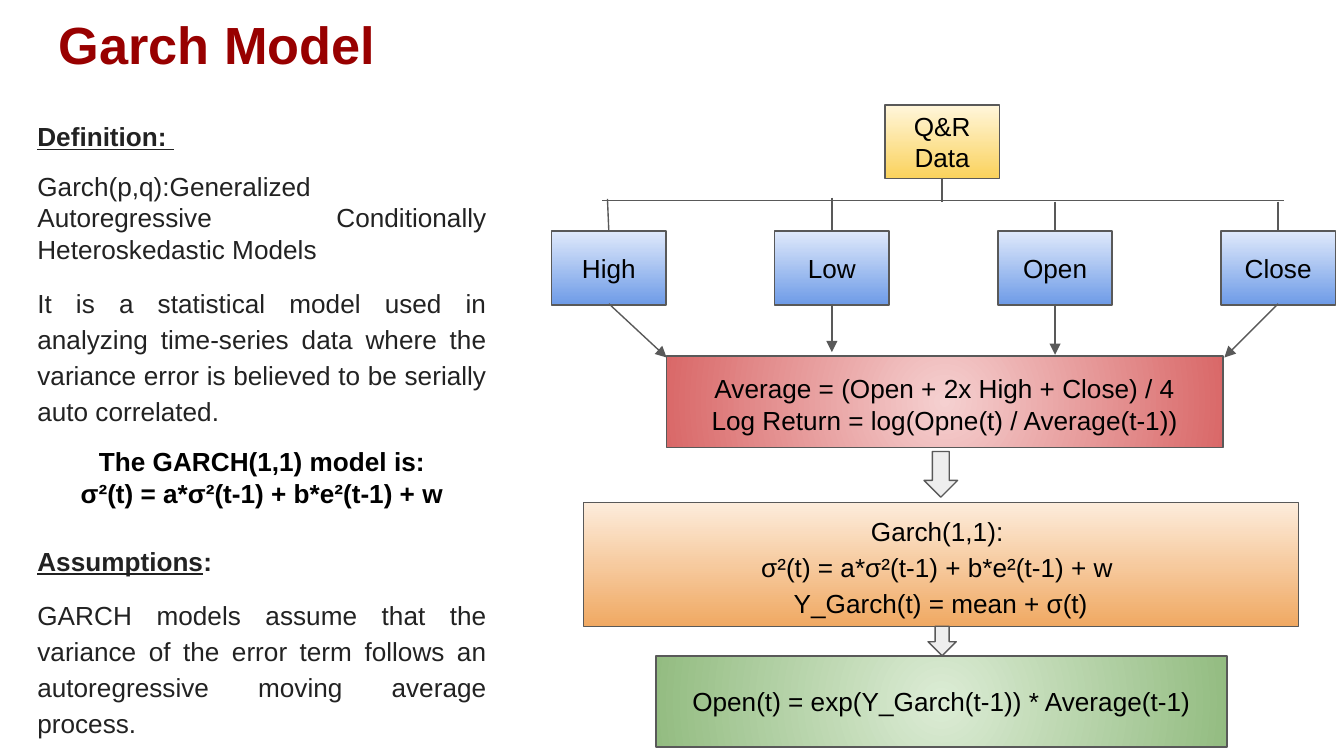
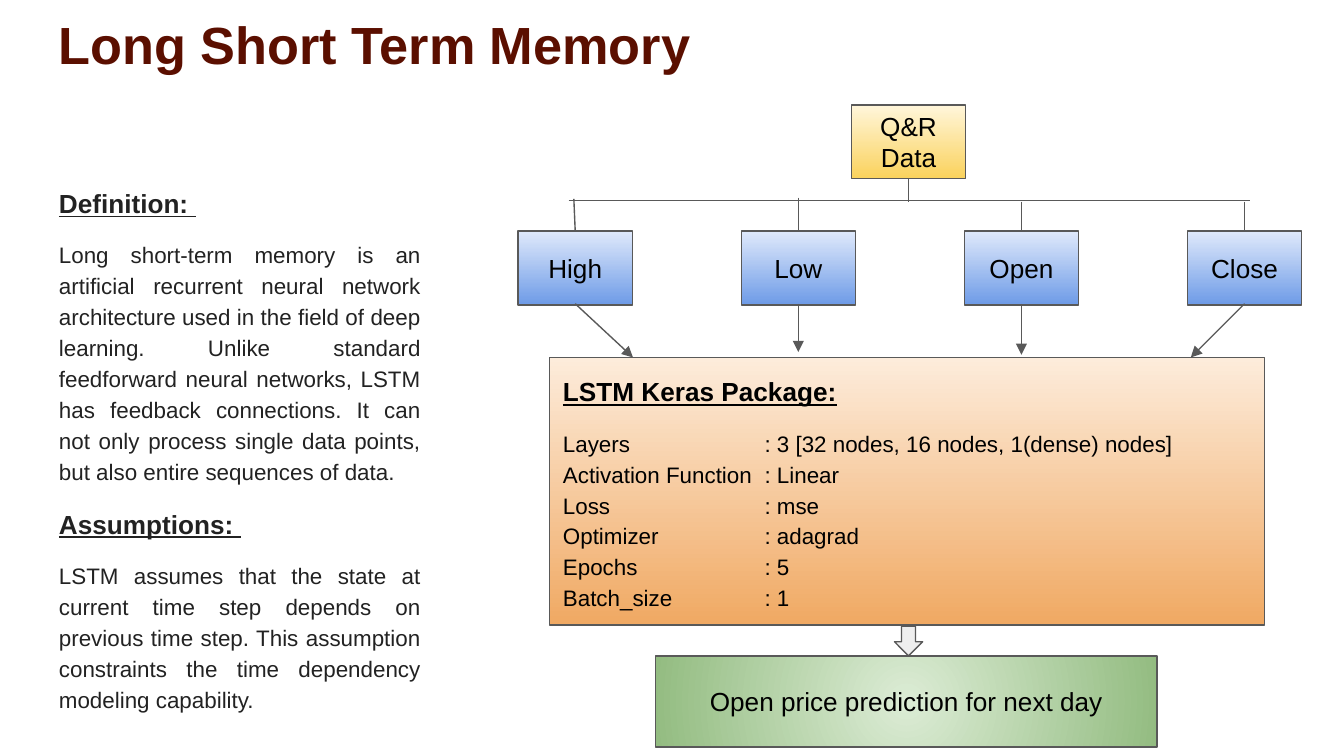
"""Build two slides that explain the GARCH and LSTM forecasting flows."""
from dataclasses import dataclass
from typing import Any

from lxml.etree import SubElement
from pptx import Presentation
from pptx.dml.color import RGBColor
from pptx.enum.shapes import MSO_CONNECTOR, MSO_SHAPE
from pptx.enum.text import MSO_ANCHOR, PP_ALIGN
from pptx.oxml.ns import qn
from pptx.util import Inches, Pt

COLORS = {
    "black": "000000",
    "body": "222222",
    "garch_title": "980000",
    "lstm_title": "5B0F00",
    "outline": "595959",
    "arrow": "EEEEEE",
}
GRADIENTS = {
    "blue": ("DFE9FB", "6E9BE7"),
    "yellow": ("FFF6DB", "FAD25C"),
    "red": ("F5D0D0", "D96868"),
    "orange": ("FDECDB", "F0A963"),
    "green": ("DCECD5", "93BC81"),
}
RADIAL = {"red", "green"}
SLIDE_WIDTH = 10
SLIDE_FORMAT = {
    "slide_width": Inches(SLIDE_WIDTH),
    "slide_height": Inches(SLIDE_WIDTH * 9 / 16),
}
FRAME_FORMAT = {
    "word_wrap": True,
    "margin_left": Inches(0.1),
    "margin_right": Inches(0.1),
    "margin_top": Inches(0.1),
    "margin_bottom": Inches(0.1),
}
SPACED = 1.15
NODE_WIDTH, NODE_HEIGHT = 0.85, 0.55
NODE_TOP, NODE_PITCH = 1.72, 1.66
NODE_BOTTOM = 2.26
BUS_TOP = 1.49


@dataclass(frozen=True)
class Line:
    """One paragraph, with an optional plain suffix after its main run."""
    text: str
    align: PP_ALIGN = PP_ALIGN.CENTER
    size: float = 14
    color: str = "black"
    bold: bool = False
    underline: bool = False
    spacing: float = 1.0
    before: float = 0
    suffix: str = ""
    tab: float = 0


@dataclass(frozen=True)
class Box:
    """A gradient rectangle with centred or listed text."""
    left: float
    top: float
    width: float
    height: float
    gradient: str
    lines: tuple[Line, ...]


@dataclass(frozen=True)
class Price:
    """A price node with its drop line above and its arrow below."""
    label: str
    drop_shift: float
    drop_top: float
    arrow_shift: float
    arrow_bottom: float


PRICES = (
    Price("High", -0.01, 1.48, 0.43, 2.66),
    Price("Low", 0, 1.47, 0, 2.62),
    Price("Open", 0, 1.5, 0, 2.64),
    Price("Close", 0, 1.5, -0.4, 2.66),
)


def apply_format(target: Any, values: dict[str, Any]) -> None:
    """Set every named attribute on the target."""
    for name, value in values.items():
        setattr(target, name, value)


def heading(text: str, before: float = 0, suffix: str = "") -> Line:
    """Describe an underlined section heading."""
    return Line(text, PP_ALIGN.LEFT, 14, "body", True, True, SPACED, before, suffix)


def prose(text: str, size: float = 14, spacing: float = SPACED) -> Line:
    """Describe a justified body paragraph."""
    return Line(text, PP_ALIGN.JUSTIFY, size, "body", spacing=spacing, before=10)


def write_lines(shape: Any, lines: tuple[Line, ...], anchor: MSO_ANCHOR) -> None:
    """Fill the text frame of a shape with paragraphs."""
    frame = shape.text_frame
    apply_format(frame, FRAME_FORMAT | {"vertical_anchor": anchor})
    for index, line in enumerate(lines):
        paragraph = frame.add_paragraph() if index else frame.paragraphs[0]
        apply_format(paragraph, {
            "alignment": line.align,
            "line_spacing": line.spacing,
            "space_before": Pt(line.before),
        })
        if line.tab:
            tabs = SubElement(paragraph._p.get_or_add_pPr(), qn("a:tabLst"))
            SubElement(tabs, qn("a:tab"), pos=str(Inches(line.tab)), algn="l")
        for text, underline in ((line.text, line.underline), (line.suffix, False)):
            if text:
                run = paragraph.add_run()
                run.text = text
                apply_format(run.font, {
                    "name": "Arial",
                    "size": Pt(line.size),
                    "bold": line.bold,
                    "underline": underline,
                })
                run.font.color.rgb = RGBColor.from_string(COLORS[line.color])


def add_text(slide: Any, left: float, top: float, width: float, height: float,
             lines: tuple[Line, ...]) -> None:
    """Add a text box anchored at the top."""
    shape = slide.shapes.add_textbox(Inches(left), Inches(top), Inches(width), Inches(height))
    write_lines(shape, lines, MSO_ANCHOR.TOP)


def set_outline(shape: Any) -> None:
    """Give a shape or connector the thin grey line."""
    shape.line.color.rgb = RGBColor.from_string(COLORS["outline"])
    shape.line.width = Pt(0.75)


def add_box(slide: Any, box: Box) -> None:
    """Draw a gradient rectangle and its text."""
    shape = slide.shapes.add_shape(MSO_SHAPE.RECTANGLE, Inches(box.left), Inches(box.top),
                                   Inches(box.width), Inches(box.height))
    shape.shadow.inherit = False
    shape.fill.gradient()
    shape.fill.gradient_angle = 270
    for stop, color in zip(shape.fill.gradient_stops, GRADIENTS[box.gradient]):
        stop.color.rgb = RGBColor.from_string(color)
    if box.gradient in RADIAL:
        gradient = shape.element.spPr.find(qn("a:gradFill"))
        gradient.remove(gradient.find(qn("a:lin")))
        circle = SubElement(gradient, qn("a:path"), {"path": "circle"})
        SubElement(circle, qn("a:fillToRect"), dict.fromkeys("ltrb", "50000"))
    set_outline(shape)
    write_lines(shape, box.lines, MSO_ANCHOR.MIDDLE)


def add_line(slide: Any, start: tuple[float, float], end: tuple[float, float],
             arrow: bool = False) -> None:
    """Draw a straight connector, with an arrowhead if asked."""
    connector = slide.shapes.add_connector(
        MSO_CONNECTOR.STRAIGHT, *(Inches(value) for value in start + end))
    set_outline(connector)
    properties = connector.element.spPr
    if arrow:
        SubElement(properties.find(qn("a:ln")), qn("a:tailEnd"), type="triangle")
    SubElement(properties, qn("a:effectLst"))


def add_down_arrow(slide: Any, center: float, top: float, width: float, height: float) -> None:
    """Draw a block arrow that points down."""
    shape = slide.shapes.add_shape(MSO_SHAPE.DOWN_ARROW, Inches(center - width / 2),
                                   Inches(top), Inches(width), Inches(height))
    shape.shadow.inherit = False
    shape.fill.solid()
    shape.fill.fore_color.rgb = RGBColor.from_string(COLORS["arrow"])
    set_outline(shape)


def add_title(slide: Any, text: str, color: str) -> None:
    """Add the slide title."""
    add_text(slide, 0.34, -0.01, 9.32, 0.63,
             (Line(text, PP_ALIGN.LEFT, 28, color, bold=True),))


def add_flow(slide: Any, center: float, boxes: tuple[Box, ...]) -> None:
    """Draw the data tree around a centre, the boxes under it and the last arrow."""
    add_box(slide, Box(center - NODE_WIDTH / 2, 0.78, NODE_WIDTH, NODE_HEIGHT,
                       "yellow", (Line("Q&R Data"),)))
    for box in boxes:
        add_box(slide, box)
    add_line(slide, (center - 2.53, BUS_TOP), (center + 2.54, BUS_TOP))
    add_line(slide, (center, 1.33), (center, 1.5))
    for index, price in enumerate(PRICES):
        middle = center - 2.48 + index * NODE_PITCH
        add_box(slide, Box(middle - NODE_WIDTH / 2, NODE_TOP, NODE_WIDTH, NODE_HEIGHT,
                           "blue", (Line(price.label),)))
        add_line(slide, (middle + price.drop_shift, price.drop_top), (middle, NODE_TOP))
        add_line(slide, (middle, NODE_BOTTOM),
                 (middle + price.arrow_shift, price.arrow_bottom), arrow=True)
    add_down_arrow(slide, center, 4.66, 0.21, 0.22)


def build_garch(slide: Any) -> None:
    """Build the GARCH slide."""
    add_title(slide, "Garch Model", "garch_title")
    add_text(slide, 0.18, 0.76, 3.54, 4.87, (
        heading("Definition: "),
        prose("Garch(p,q):Generalized Autoregressive Conditionally "
              "Heteroskedastic Models ", spacing=1.0),
        prose("It is a statistical model used in analyzing time-series data where the "
              "variance error is believed to be serially auto correlated."),
        Line("The GARCH(1,1) model is:", bold=True, before=10),
        Line("σ²(t) = a*σ²(t-1) + b*e²(t-1) + w", bold=True),
        heading("Assumptions", before=17, suffix=":"),
        prose("GARCH models assume that the variance of the error term follows an "
              "autoregressive moving average process."),
    ))
    add_flow(slide, 7.01, (
        Box(4.96, 2.65, 4.14, 0.68, "red", (
            Line("Average = (Open + 2x High + Close) / 4", spacing=SPACED),
            Line("Log Return = log(Opne(t) / Average(t-1))"),
        )),
        Box(4.34, 3.74, 5.32, 0.92, "orange", tuple(
            Line(text, spacing=SPACED) for text in (
                "Garch(1,1): ",
                "σ²(t) = a*σ²(t-1) + b*e²(t-1) + w ",
                "Y_Garch(t) = mean + σ(t)",
            ))),
        Box(4.88, 4.88, 4.25, 0.68, "green",
            (Line("Open(t) = exp(Y_Garch(t-1)) * Average(t-1)"),)),
    ))
    add_down_arrow(slide, 7, 3.36, 0.25, 0.34)


def build_lstm(slide: Any) -> None:
    """Build the LSTM slide."""
    add_title(slide, "Long Short Term Memory", "lstm_title")
    add_text(slide, 0.34, 1.26, 2.89, 4.12, (
        heading("Definition: "),
        prose("Long short-term memory is an artificial recurrent neural network "
              "architecture used in the field of deep learning. Unlike standard "
              "feedforward neural networks, LSTM has feedback connections. It can not "
              "only process single data points, but also entire sequences of data.", 12),
        heading("Assumptions: ", before=10),
        prose("LSTM assumes that the state at current time step depends on previous time "
              "step. This assumption constraints the time dependency modeling "
              "capability.", 12),
    ))
    settings = {
        "Layers": "3 [32 nodes, 16 nodes, 1(dense) nodes]",
        "Activation Function": "Linear",
        "Loss": "mse",
        "Optimizer": "adagrad",
        "Epochs": "5",
        "Batch_size": "1",
    }
    setting_lines = tuple(
        Line(f"{name}\t: {value}", PP_ALIGN.LEFT, 12, spacing=SPACED,
             before=0 if index else 10, tab=1.5)
        for index, (name, value) in enumerate(settings.items()))
    package = Line("LSTM Keras Package:", PP_ALIGN.LEFT, bold=True, underline=True,
                   spacing=SPACED)
    add_flow(slide, 6.76, (
        Box(4.09, 2.66, 5.32, 1.99, "orange", (package, *setting_lines)),
        Box(4.88, 4.88, 3.73, 0.68, "green", (Line("Open price prediction for next day"),)),
    ))


def main() -> None:
    """Create and save the presentation."""
    presentation = Presentation()
    apply_format(presentation, SLIDE_FORMAT)
    for build in (build_garch, build_lstm):
        build(presentation.slides.add_slide(presentation.slide_layouts[6]))
    presentation.save("out.pptx")


if __name__ == "__main__":
    main()
